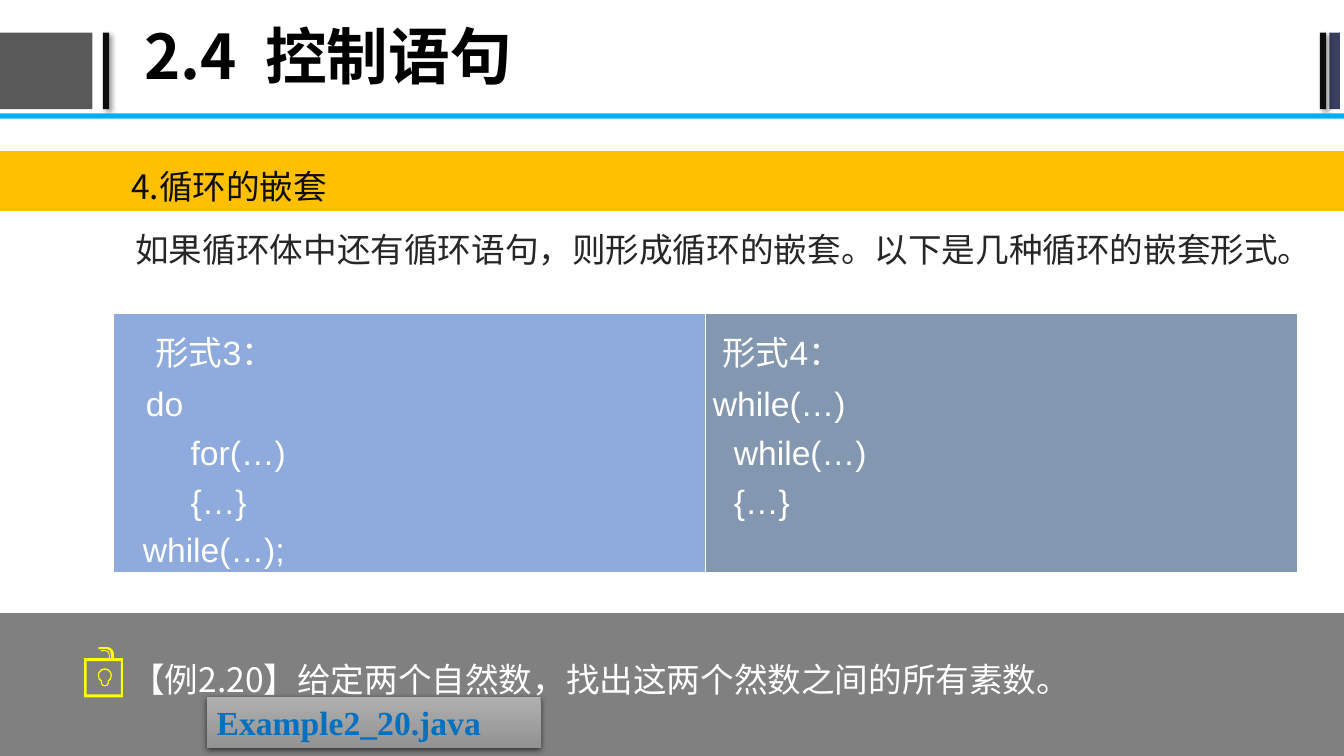
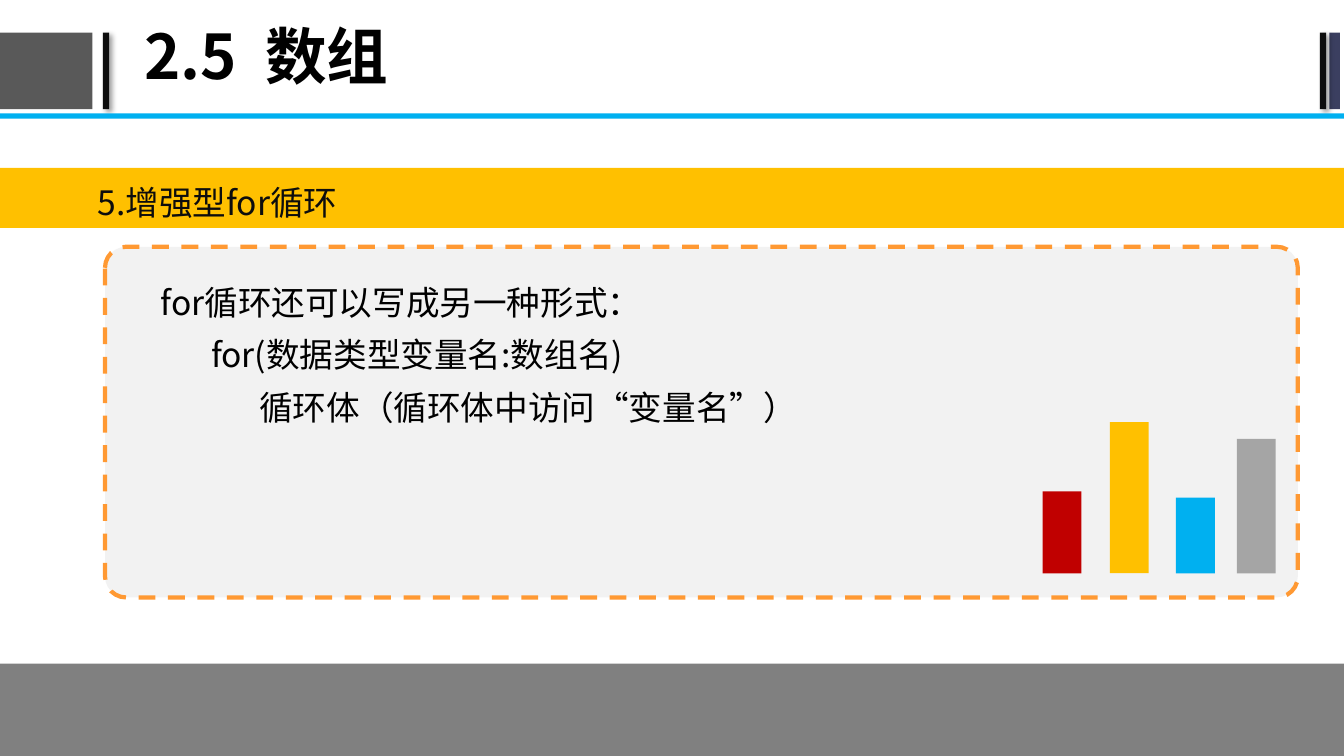
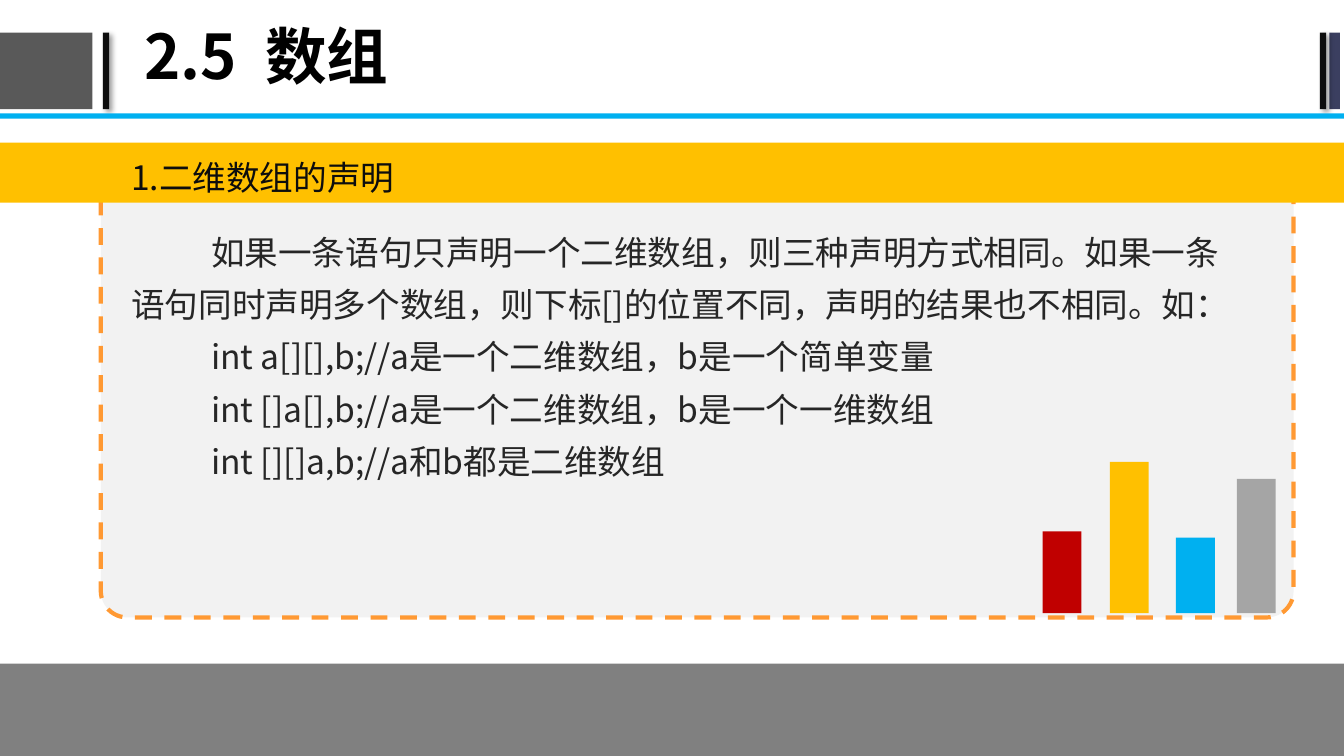
from lxml import etree
from pptx import Presentation
from pptx.dml.color import RGBColor
from pptx.enum.dml import MSO_LINE
from pptx.enum.shapes import MSO_SHAPE as SHAPE
from pptx.enum.text import MSO_ANCHOR as ANCHOR, MSO_AUTO_SIZE as AUTO, PP_ALIGN as ALIGN
from pptx.oxml import parse_xml
from pptx.oxml.ns import nsdecls, qn
from pptx.util import Pt

PX = 9525  # 96 px to the inch
W, H = 1280, 720
CJK = "Noto Sans CJK SC"
C = {
    "black": "000000", "white": "FFFFFF", "ink": "0D0D0D", "text": "262626",
    "dark": "595959", "navy": "3B3F60", "sky": "00B0F0", "amber": "FFC000",
    "footer": "808080", "panel": "F2F2F2", "dash": "FF9933", "red": "C00000",
    "silver": "A5A5A5", "yellow": "FFFF00", "blue": "8FAADC", "slate": "8497B0",
    "link": "0070C0", "grad_top": "AFAFAF", "grad_end": "939393",
}
RGB = {name: RGBColor.from_string(value) for name, value in C.items()}


def add_box(shapes, x, y, w, h, color, kind=SHAPE.RECTANGLE, shadow=None):
    """Plain filled shape; shadow is (alpha %, blur pt, distance pt, angle)."""
    sp = shapes.add_shape(kind, x * PX, y * PX, w * PX, h * PX)
    sp.shadow.inherit = False
    sp.fill.solid()
    sp.fill.fore_color.rgb = RGB[color]
    sp.line.fill.background()
    if shadow:
        alpha, blur, dist, angle = shadow
        sp._element.spPr.find(qn("a:effectLst")).append(parse_xml(
            f'<a:outerShdw {nsdecls("a")} blurRad="{Pt(blur)}" dist="{Pt(dist)}"'
            f' dir="{angle * 60000}" algn="tl" rotWithShape="0"><a:srgbClr val="{C["black"]}">'
            f'<a:alpha val="{alpha * 1000}"/></a:srgbClr></a:outerShdw>'))
    return sp


def write(tf, lines, color, spacing=1.0, size=24, font=CJK, bold=False,
          align=ALIGN.LEFT, margins=None):
    """Fill a text frame with (text, first-line indent in px) pairs."""
    tf.word_wrap = True
    if margins:
        tf.margin_left = tf.margin_right = margins[0] * PX
        tf.margin_top = tf.margin_bottom = margins[1] * PX
    for i, (text, indent) in enumerate(lines):
        p = tf.add_paragraph() if i else tf.paragraphs[0]
        p.alignment, p.line_spacing = align, spacing
        if indent:
            p._p.get_or_add_pPr().set("indent", str(indent * PX))
        r = p.add_run()
        r.text = text
        for key, value in {"size": Pt(size), "name": font, "bold": bold}.items():
            setattr(r.font, key, value)
        r.font.color.rgb = RGB[color]
        etree.SubElement(r._r.get_or_add_rPr(), qn("a:ea"), typeface=CJK)


prs = Presentation()
prs.slide_width, prs.slide_height = W * PX, H * PX
layout = prs.slide_layouts[5]

INSET = (13, 6)
BAR_SHADOW = (40, 4, 3, 45)
HEADER = [  # x, y, w, h, colour, shadow
    (-2, 31, 90, 73, "dark", None),
    (98, 31, 6, 73, "ink", BAR_SHADOW),
    (1266, 31, 10, 73, "navy", None),
    (1257, 31, 6, 73, "ink", BAR_SHADOW),
    (0, 108, W, 5, "sky", None),
]
BARS = [(1178, 128, "silver"), (1120, 72, "sky"), (1057, 144, "amber"), (993, 78, "red")]

SLIDES = [
    {"title": "2.4  控制语句", "heading": "4.循环的嵌套", "heading_x": 112, "band_y": 144,
     "footer_y": 584, "body": (40, 200, 1200, 325), "color": "text",
     "lines": [("如果循环体中还有循环语句，则形成循环的嵌套。以下是几种循环的嵌套形式。", 76)]},
    {"title": "2.5  数组", "heading": "5.增强型for循环", "heading_x": 80, "band_y": 160,
     "footer_y": 632, "body": (112, 251, 1058, 325), "color": "black",
     "panel": (100, 235, 1136, 334), "bars_bottom": 546,
     "lines": [("for循环还可以写成另一种形式：", 28),
               ("for(数据类型变量名:数组名)", 76),
               ("循环体（循环体中访问“变量名”）", 122)]},
    {"title": "2.5  数组", "heading": "1.二维数组的声明", "heading_x": 112, "band_y": 136,
     "footer_y": 632, "body": (112, 203, 1085, 325), "color": "text",
     "panel": (96, 168, 1136, 420), "bars_bottom": 584,
     "lines": [(text, 76) for text in (
         "如果一条语句只声明一个二维数组，则三种声明方式相同。如果一条语句同时声明多个数组，"
         "则下标[]的位置不同，声明的结果也不相同。如：",
         "int a[][],b;//a是一个二维数组，b是一个简单变量",
         "int []a[],b;//a是一个二维数组，b是一个一维数组",
         "int [][]a,b;//a和b都是二维数组")]},
]

for n, d in enumerate(SLIDES):
    s = prs.slides.add_slide(layout)

    # Header marks, moved to the layout so that all slides share them
    if n == 0:
        for i, (x, y, w, h, color, shadow) in enumerate(HEADER):
            sp = add_box(s.shapes, x, y, w, h, color, shadow=shadow)
            sp._element.nvSpPr.cNvPr.set("id", str(20 + i))
            layout.shapes._spTree.insert(2 + i, sp._element)

    # Title
    title = s.shapes.title
    for key, value in {"left": 128, "top": 0, "width": 1080, "height": 113}.items():
        setattr(title, key, value * PX)
    title.text_frame.auto_size = AUTO.NONE
    title.text_frame.vertical_anchor = ANCHOR.MIDDLE
    write(title.text_frame, [(d["title"], 0)], "black", 0.9, size=44, bold=True)

    # Footer band and dashed panel
    add_box(s.shapes, 0, d["footer_y"], W, H - d["footer_y"], "footer")
    if "panel" in d:
        sp = add_box(s.shapes, *d["panel"], "panel", SHAPE.ROUNDED_RECTANGLE)
        sp.adjustments[0] = 0.06
        sp.line.color.rgb = RGB["dash"]
        sp.line.width = Pt(3)
        sp.line.dash_style = MSO_LINE.DASH

    # Body text
    tb = s.shapes.add_textbox(*(v * PX for v in d["body"]))
    write(tb.text_frame, d["lines"], d["color"], 1.3, margins=INSET)

    # Decorative bars
    if "bars_bottom" in d:
        group = s.shapes.add_group_shape()
        for x, h, color in BARS:
            add_box(group.shapes, x, d["bars_bottom"] - h, 37, h, color)

    # Heading band
    add_box(s.shapes, 0, d["band_y"], W, 57, "amber")
    tb = s.shapes.add_textbox(d["heading_x"] * PX, d["band_y"] * PX, 978 * PX, 56 * PX)
    write(tb.text_frame, [(d["heading"], 0)], "ink", 1.2, margins=INSET)

# Slide 1: table of loop forms
s = prs.slides[0]
table = s.shapes.add_table(1, 2, 108 * PX, 297 * PX, 1128 * PX, 246 * PX).table
table.first_row = table.horz_banding = False
FORMS = [
    ("blue", [("形式3：", 33), ("do", 24), ("   for(…)", 40), ("   {…}", 40),
              ("while(…);", 21)]),
    ("slate", [("形式4：", 9), ("while(…)", 0), ("while(…)", 20), ("{…}", 20)]),
]
for cell, (color, lines) in zip(table.rows[0].cells, FORMS):
    tcPr = cell._tc.get_or_add_tcPr()
    for side, width in {"L": 1, "R": 1, "T": 3, "B": 3}.items():
        tcPr.append(parse_xml(
            f'<a:ln{side} {nsdecls("a")} w="{Pt(width)}"><a:solidFill>'
            f'<a:srgbClr val="{C["white"]}"/></a:solidFill></a:ln{side}>'))
    cell.fill.solid()
    cell.fill.fore_color.rgb = RGB[color]
    cell.margin_left = cell.margin_right = 7 * PX
    cell.margin_top = cell.margin_bottom = 0
    write(cell.text_frame, lines, "white", 1.3, font="Arial", align=ALIGN.JUSTIFY)

# Slide 1: padlock icon, contours in tenths of a px
PADLOCK = [
    [(800, 6269), (1170, 6269), (1170, 6643), (800, 6643)],
    [(826, 6298), (1152, 6298), (1152, 6614), (826, 6614)],
    [(1085, 6269), (1085, 6230), (1080, 6203), (1066, 6182), (1045, 6168), (1018, 6163),
     (941, 6163), (936, 6173), (941, 6182), (1018, 6182), (1046, 6198), (1056, 6230),
     (1056, 6269)],
    [(1046, 6269), (1046, 6240), (1035, 6205), (1008, 6192), (960, 6192), (960, 6202),
     (1008, 6202), (1028, 6214), (1037, 6240), (1037, 6269)],
    [(960, 6490), (940, 6470), (931, 6432), (938, 6402), (964, 6374), (998, 6365),
     (1033, 6374), (1058, 6402), (1066, 6432), (1057, 6470), (1037, 6490), (1037, 6510),
     (1022, 6532), (998, 6538), (974, 6532), (960, 6510)],
    [(972, 6484), (950, 6462), (943, 6432), (950, 6406), (970, 6386), (998, 6379),
     (1027, 6386), (1047, 6406), (1054, 6432), (1047, 6462), (1025, 6484), (1025, 6508),
     (1015, 6522), (998, 6526), (982, 6522), (972, 6508)],
]
fb = s.shapes.build_freeform(*PADLOCK[0][0], scale=PX / 10)
for i, contour in enumerate(PADLOCK):
    if i:
        fb.move_to(*contour[0])
    fb.add_line_segments(contour[1:], close=True)
sp = fb.convert_to_shape()
sp.shadow.inherit = False
sp.fill.solid()
sp.fill.fore_color.rgb = RGB["yellow"]
sp.line.fill.background()

# Slide 1: example text and file button
tb = s.shapes.add_textbox(112 * PX, 614 * PX, 1152 * PX, 98 * PX)
write(tb.text_frame, [("【例2.20】给定两个自然数，找出这两个然数之间的所有素数。", 0)],
      "white", 1.2, margins=INSET)

sp = add_box(s.shapes, 197, 664, 318, 48, "silver", shadow=(63, 4.5, 1.5, 90))
sp.fill.gradient()
sp.fill.gradient_angle = 270
for stop, color in zip(sp.fill.gradient_stops, ("grad_top", "grad_end")):
    stop.color.rgb = RGB[color]
sp.text_frame.vertical_anchor = ANCHOR.TOP
write(sp.text_frame, [("Example2_20.java", 0)], "link", font="Times New Roman", bold=True)

prs.save("out.pptx")
